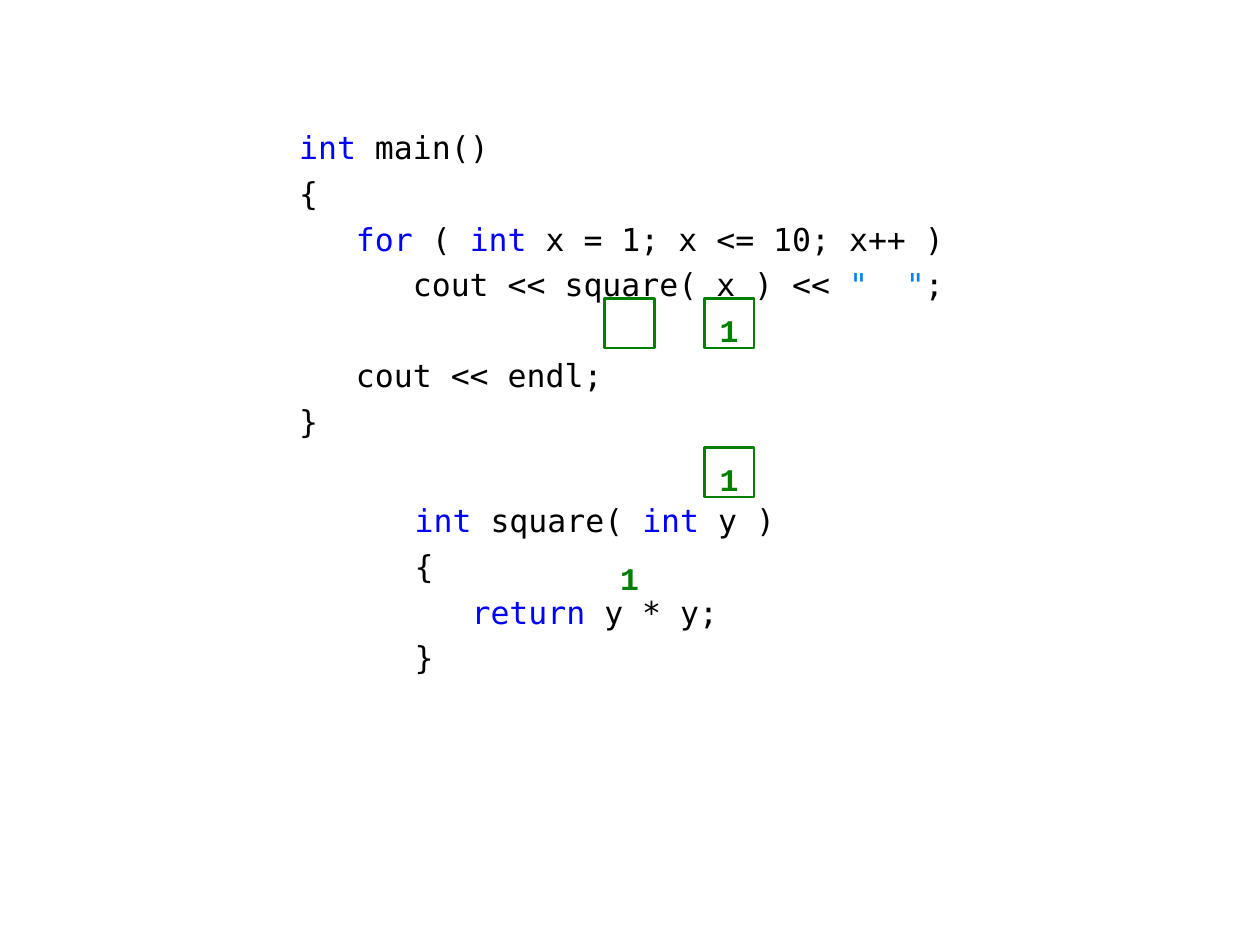
from pptx import Presentation
from pptx.dml.color import RGBColor
from pptx.enum.shapes import MSO_SHAPE
from pptx.enum.text import MSO_ANCHOR, MSO_AUTO_SIZE, PP_ALIGN
from pptx.util import Cm, Pt

RECTANGLE = MSO_SHAPE.RECTANGLE
MIDDLE = MSO_ANCHOR.MIDDLE
NO_AUTOFIT = MSO_AUTO_SIZE.NONE
CENTER = PP_ALIGN.CENTER

CODE_FONT, VALUE_FONT = "DejaVu Sans Mono", "Courier New"
PLAIN, KEYWORD, LITERAL, VALUE = "000000", "0000FF", "0080FF", "008000"
LINE_GAP, SECTION_GAP = 4.6, 30.2
CELL_SIZE = 1
RETURN_LEFT, ARGUMENT_LEFT = 12.19, 14.2

MAIN_CODE = [
    [("int", KEYWORD), (" main()", PLAIN)],
    [("{", PLAIN)],
    [("   ", PLAIN), ("for", KEYWORD), (" ( ", PLAIN), ("int", KEYWORD),
     (" x = 1; x <= 10; x++ )", PLAIN)],
    [("      cout << square( x ) << ", PLAIN), ('"  "', LITERAL), (";", PLAIN)],
    [("   cout << endl;", PLAIN)],
    [("}", PLAIN)],
]
SQUARE_CODE = [
    [("int", KEYWORD), (" square( ", PLAIN), ("int", KEYWORD), (" y )", PLAIN)],
    [("{", PLAIN)],
    [("   ", PLAIN), ("return", KEYWORD), (" y * y;", PLAIN)],
    [("}", PLAIN)],
]


def color(value):
    """Return the colour for a hex string."""
    return RGBColor.from_string(value)


def add_run(paragraph, text, font_name, fill, bold=False):
    """Append one formatted run to a paragraph."""
    run = paragraph.add_run()
    run.text = text
    run.font.name = font_name
    run.font.size = Pt(18)
    run.font.bold = bold
    run.font.color.rgb = color(fill)


def set_margins(frame, left, top, right, bottom):
    """Set the inner margins of a text frame in centimetres."""
    frame.margin_left, frame.margin_top = Cm(left), Cm(top)
    frame.margin_right, frame.margin_bottom = Cm(right), Cm(bottom)


def add_code(slide, left, top, width, height, inset, lines, section_start=None):
    """Add a code listing, with a wide gap before the line section_start."""
    box = slide.shapes.add_textbox(Cm(left), Cm(top), Cm(width), Cm(height))
    frame = box.text_frame
    frame.word_wrap = True
    frame.auto_size = NO_AUTOFIT
    set_margins(frame, inset, 0.07, 0.25, 0)
    for index, line in enumerate(lines):
        paragraph = frame.add_paragraph() if index else frame.paragraphs[0]
        if index:
            gap = SECTION_GAP if index == section_start else LINE_GAP
            paragraph.space_before = Pt(gap)
        for text, fill in line:
            add_run(paragraph, text, CODE_FONT, fill)


def write_value(shape, text):
    """Write a centred bold value into a shape."""
    frame = shape.text_frame
    frame.word_wrap = False
    frame.auto_size = NO_AUTOFIT
    frame.vertical_anchor = MIDDLE
    set_margins(frame, 0.25, 0.25, 0.25, 0)
    paragraph = frame.paragraphs[0]
    paragraph.alignment = CENTER
    add_run(paragraph, text, VALUE_FONT, VALUE, bold=True)


def add_value(slide, left, top, text):
    """Add a value without a frame."""
    box = slide.shapes.add_textbox(Cm(left), Cm(top), Cm(CELL_SIZE), Cm(CELL_SIZE))
    write_value(box, text)


def add_cell(slide, left, top, text=""):
    """Add an outlined memory cell, empty or holding a value."""
    cell = slide.shapes.add_shape(
        RECTANGLE, Cm(left), Cm(top), Cm(CELL_SIZE), Cm(CELL_SIZE))
    cell.shadow.inherit = False
    cell.fill.background()
    cell.line.color.rgb = color(VALUE)
    cell.line.width = Pt(1.5)
    if text:
        write_value(cell, text)


def main():
    """Build the slide and save the presentation."""
    presentation = Presentation()
    presentation.slide_width, presentation.slide_height = Cm(25.4), Cm(19.05)
    slide = presentation.slides.add_slide(presentation.slide_layouts[6])
    add_code(slide, 5.7, 2.51, 14, 6.5, 0.33, MAIN_CODE, section_start=4)
    add_code(slide, 8.2, 10.03, 8, 4, 0.16, SQUARE_CODE)
    add_value(slide, RETURN_LEFT, 11.02, "1")
    add_cell(slide, RETURN_LEFT, 6.02)
    add_cell(slide, ARGUMENT_LEFT, 6.02, "1")
    add_cell(slide, ARGUMENT_LEFT, 9.02, "1")
    presentation.save("out.pptx")


if __name__ == "__main__":
    main()
